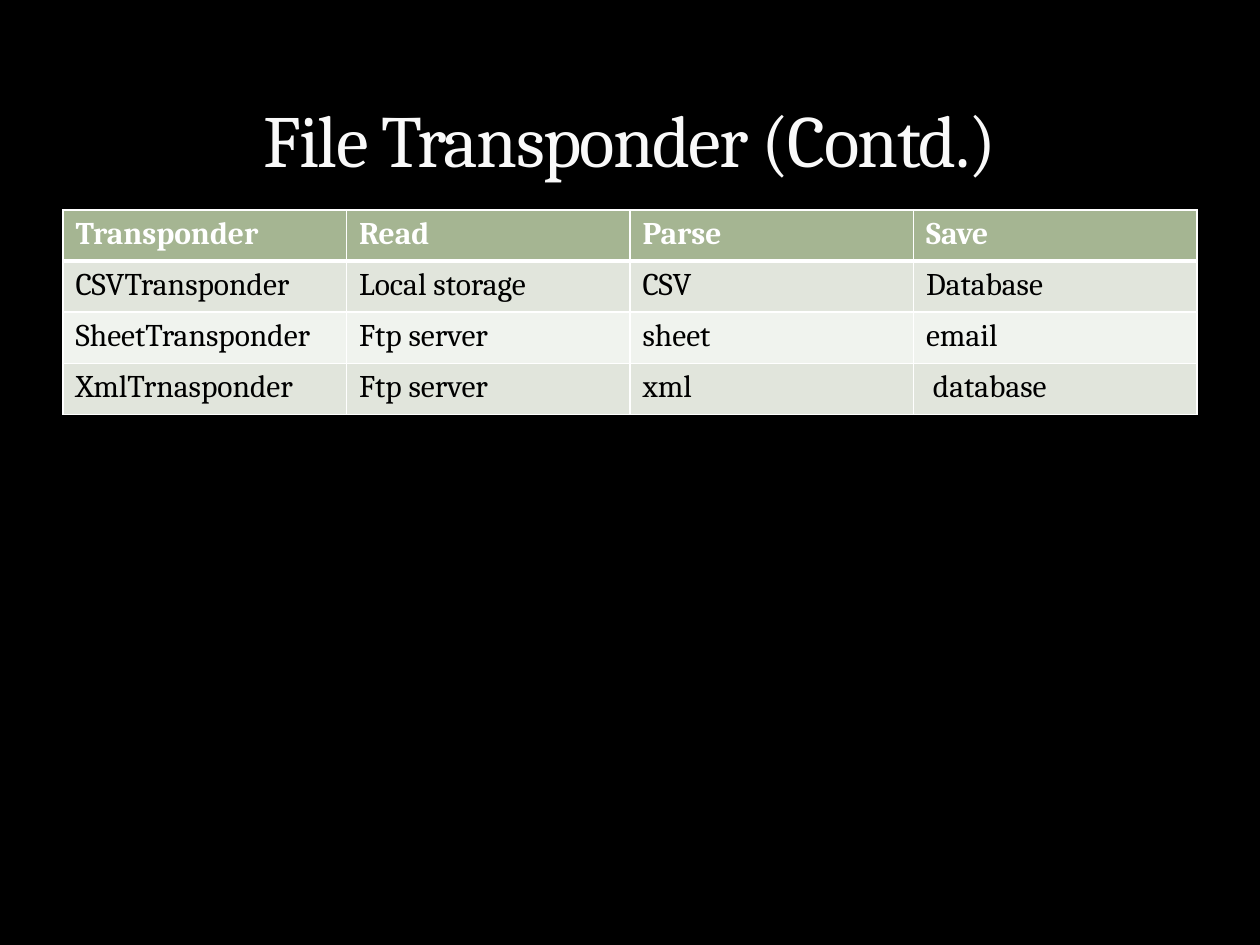
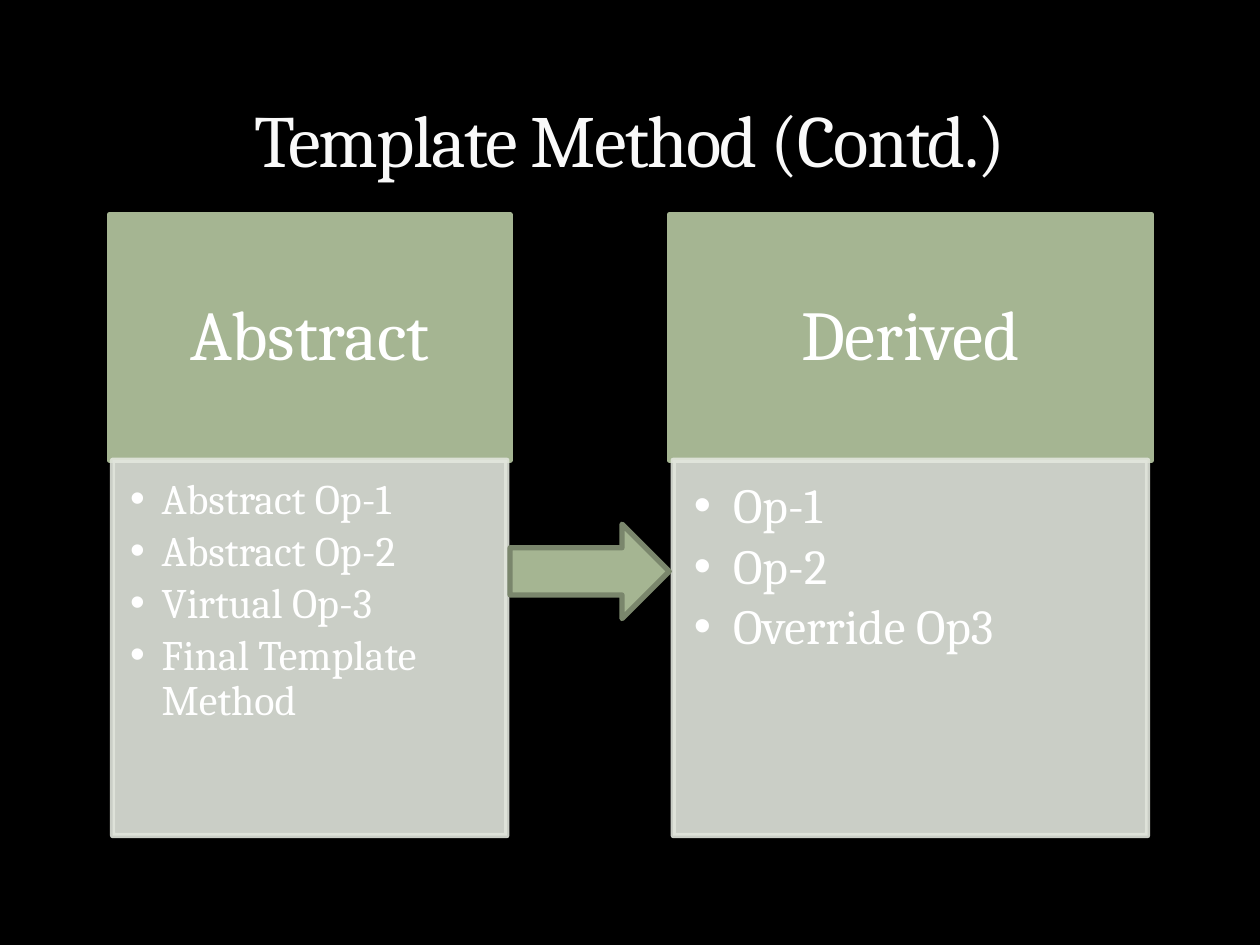
from lxml.etree import SubElement
from pptx import Presentation
from pptx.dml.color import RGBColor
from pptx.enum.shapes import MSO_SHAPE
from pptx.enum.text import MSO_ANCHOR, MSO_AUTO_SIZE, PP_ALIGN
from pptx.oxml.ns import qn
from pptx.util import Pt

FONT = "Cambria"
COLORS = {
    "background": "000000",
    "title": "F9F9F9",
    "title_outline": "3C4422",
    "white": "FFFFFF",
    "black": "000000",
    "sage": "A5B592",
    "sage_dark": "7A866C",
    "band_dark": "E1E5DC",
    "band_light": "F0F3EE",
}
TITLE_BOX = (36, 12, 648, 96)
TABLE_BOX = (36, 120, 648, 116.8)
TABLE_ROWS = [
    ["Transponder", "Read", "Parse", "Save"],
    ["CSVTransponder", "Local storage", "CSV", "Database"],
    ["SheetTransponder", "Ftp server", "sheet", "email"],
    ["XmlTrnasponder", "Ftp server", "xml", " database"],
]
ABSTRACT_BOX = (62.5, 122.5, 229, 355)
ABSTRACT_ITEMS = ["Abstract Op-1", "Abstract Op-2", "Virtual Op-3", "Final Template Method"]
DERIVED_BOX = (382.5, 122.5, 275.5, 355)
DERIVED_ITEMS = ["Op-1", "Op-2", "Override Op3"]
HEADING_HEIGHT = 140.5
ARROW_HEIGHT = 54
ARROW_OFFSET = 177


def color(name):
    return RGBColor.from_string(COLORS[name])


def points(values):
    return [Pt(value) for value in values]


def add_run(paragraph, text, size, color_name, bold=False):
    run = paragraph.add_run()
    run.text = text
    run.font.name = FONT
    run.font.size = Pt(size)
    run.font.bold = bold
    run.font.color.rgb = color(color_name)
    return run


def add_solid_fill(parent, color_name, alpha=100):
    fill = SubElement(parent, qn("a:solidFill"))
    value = SubElement(fill, qn("a:srgbClr"), val=COLORS[color_name])
    if alpha < 100:
        SubElement(value, qn("a:alpha"), val=str(alpha * 1000))


def add_title_slide(presentation, text):
    slide = presentation.slides.add_slide(presentation.slide_layouts[5])
    title = slide.shapes.title
    title.left, title.top, title.width, title.height = points(TITLE_BOX)
    frame = title.text_frame
    frame.word_wrap = True
    frame.auto_size = MSO_AUTO_SIZE.NONE
    frame.vertical_anchor = MSO_ANCHOR.BOTTOM
    paragraph = frame.paragraphs[0]
    paragraph.alignment = PP_ALIGN.CENTER
    run = add_run(paragraph, text, 42, "title")
    properties = run.font._element
    properties.set("spc", "-100")
    outline = properties.makeelement(qn("a:ln"), {"w": str(Pt(0.25))})
    properties.insert(0, outline)
    add_solid_fill(outline, "title_outline", 25)
    return slide


def add_cell_borders(cell, is_header, below_header):
    properties = cell._tc.get_or_add_tcPr()
    widths = {
        "lnL": 1,
        "lnR": 1,
        "lnT": 3 if below_header else 1,
        "lnB": 3 if is_header else 1,
    }
    for side, width in widths.items():
        border = SubElement(properties, qn(f"a:{side}"), w=str(Pt(width)))
        add_solid_fill(border, "white")


def add_transponder_table(slide, box, rows):
    left, top, width, height = points(box)
    table = slide.shapes.add_table(len(rows), len(rows[0]), left, top, width, height).table
    table.horz_banding = False
    for row_index, texts in enumerate(rows):
        is_header = row_index == 0
        band = "band_dark" if row_index % 2 else "band_light"
        for column_index, text in enumerate(texts):
            cell = table.cell(row_index, column_index)
            add_cell_borders(cell, is_header, row_index == 1)
            cell.fill.solid()
            cell.fill.fore_color.rgb = color("sage" if is_header else band)
            paragraph = cell.text_frame.paragraphs[0]
            add_run(paragraph, text, 18, "white" if is_header else "black", is_header)


def add_block(slide, preset, box, fill_name, line_name, alpha=100):
    shape = slide.shapes.add_shape(preset, *points(box))
    shape.shadow.inherit = False
    shape.fill.solid()
    shape.fill.fore_color.rgb = color(fill_name)
    shape.line.color.rgb = color(line_name)
    shape.line.width = Pt(3)
    if alpha < 100:
        for value in shape._element.spPr.iter(qn("a:srgbClr")):
            SubElement(value, qn("a:alpha"), val=str(alpha * 1000))
    return shape


def set_frame(shape, anchor, margins):
    frame = shape.text_frame
    frame.word_wrap = True
    frame.vertical_anchor = anchor
    frame.margin_left, frame.margin_top, frame.margin_right, frame.margin_bottom = points(margins)
    return frame


def add_bullet(paragraph, text, size, indent):
    paragraph.alignment = PP_ALIGN.LEFT
    paragraph.line_spacing = 0.9
    paragraph.space_after = Pt(round(size * 0.16, 1))
    properties = paragraph._p.get_or_add_pPr()
    properties.set("marL", str(Pt(indent)))
    properties.set("indent", str(-Pt(indent)))
    SubElement(properties, qn("a:buFont"), typeface="Arial")
    SubElement(properties, qn("a:buChar"), char="•")
    add_run(paragraph, text, size, "white")


def add_class_column(slide, box, heading, items, size, indent):
    left, top, width, height = box
    heading_shape = add_block(
        slide, MSO_SHAPE.RECTANGLE, (left, top, width, HEADING_HEIGHT), "sage", "sage"
    )
    frame = set_frame(heading_shape, MSO_ANCHOR.MIDDLE, (22, 13, 22, 13))
    paragraph = frame.paragraphs[0]
    paragraph.alignment = PP_ALIGN.CENTER
    paragraph.line_spacing = 0.9
    add_run(paragraph, heading, 40, "white")

    inset = width * 0.008
    body_box = (left + inset, top + HEADING_HEIGHT, width - 2 * inset, height - HEADING_HEIGHT)
    body = add_block(slide, MSO_SHAPE.RECTANGLE, body_box, "band_dark", "band_dark", 90)
    margins = [size * ratio for ratio in (0.42, 0.42, 0.57, 0.63)]
    frame = set_frame(body, MSO_ANCHOR.TOP, margins)
    for index, item in enumerate(items):
        paragraph = frame.add_paragraph() if index else frame.paragraphs[0]
        add_bullet(paragraph, item, size, indent)


def add_inheritance_arrow(slide, source_box, target_box):
    left = source_box[0] + source_box[2]
    box = (left, source_box[1] + ARROW_OFFSET, target_box[0] - left, ARROW_HEIGHT)
    add_block(slide, MSO_SHAPE.RIGHT_ARROW, box, "sage", "sage_dark")


def main():
    presentation = Presentation()
    presentation.slide_width, presentation.slide_height = Pt(720), Pt(540)
    background = presentation.slide_master.background.fill
    background.solid()
    background.fore_color.rgb = color("background")

    slide = add_title_slide(presentation, "File Transponder (Contd.)")
    add_transponder_table(slide, TABLE_BOX, TABLE_ROWS)

    slide = add_title_slide(presentation, "Template Method (Contd.)")
    add_class_column(slide, ABSTRACT_BOX, "Abstract", ABSTRACT_ITEMS, 24, 18)
    add_class_column(slide, DERIVED_BOX, "Derived", DERIVED_ITEMS, 28, 22.5)
    add_inheritance_arrow(slide, ABSTRACT_BOX, DERIVED_BOX)

    presentation.save("out.pptx")


if __name__ == "__main__":
    main()
